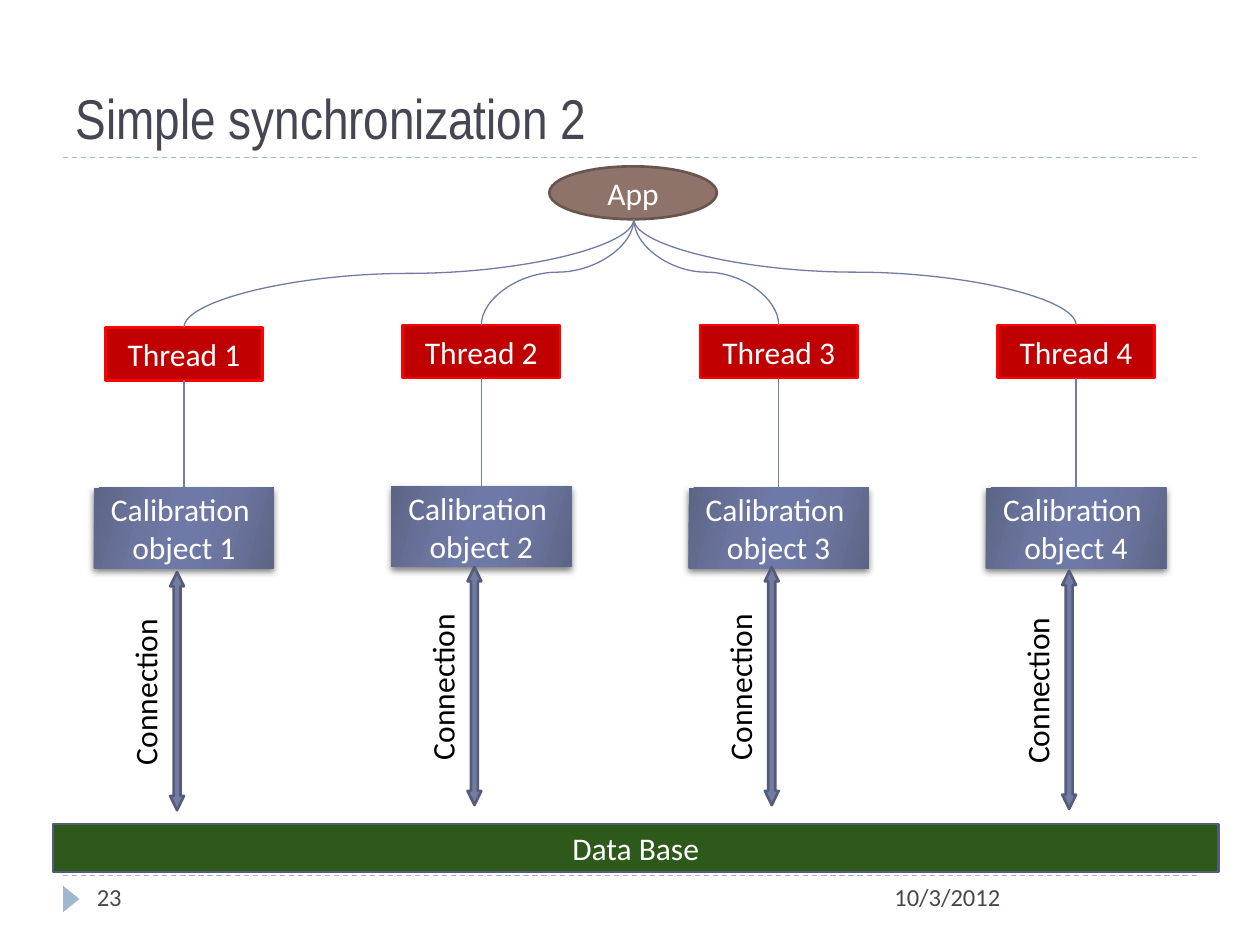
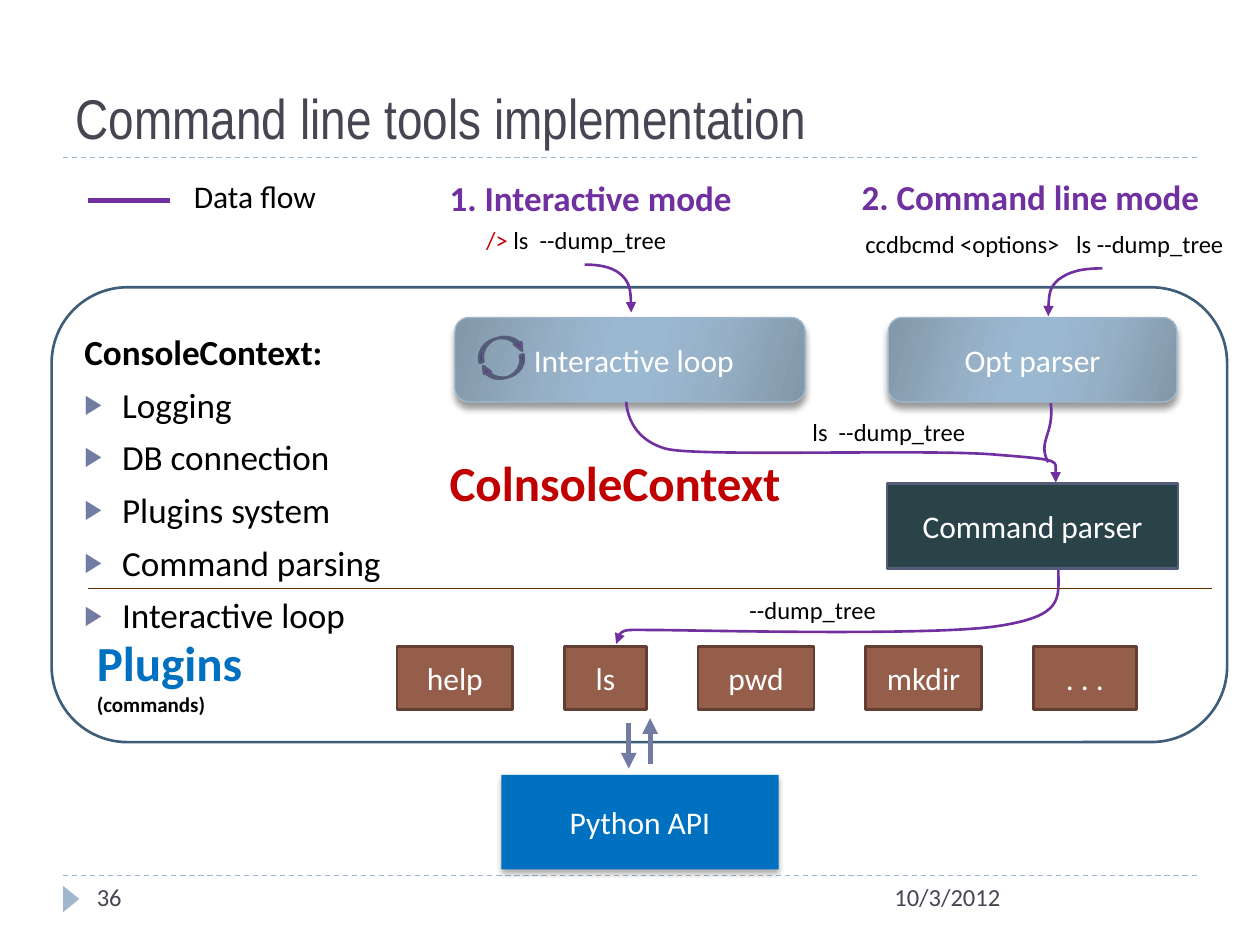
from lxml.etree import SubElement
from pptx import Presentation
from pptx.dml.color import RGBColor
from pptx.enum.dml import MSO_LINE
from pptx.enum.shapes import MSO_CONNECTOR as LINK, MSO_SHAPE as SHAPE
from pptx.enum.text import MSO_ANCHOR as ANCHOR, MSO_AUTO_SIZE as FIT, PP_ALIGN as ALIGN
from pptx.oxml.ns import qn
from pptx.util import Cm, Pt

INK, WHITE, BLACK = "464653", "FFFFFF", "000000"
SKY, SLATE, SLATE_EDGE, PURPLE, RED, BLUE = "9FB8CD", "727CA3", "545C79", "7030A0", "C00000", "0070C0"
STOPS = (0, 30, 45, 55, 73, 100)
SLATE_BLEND = ("5D6585", "6B759E", "6E79A7", "6E79A7", "6B759E", "5D6585")
SKY_BLEND = ("8297A8", "96B0C6", "9BB8D1", "9BB8D1", "96B0C6", "8297A8")
DATE = "10/3/2012"

FIRST_CENTER, PITCH = 1.46, 2.36
APP_X, APP_BOTTOM = 5.03, 1.74
THREAD_WIDTH, THREAD_HEIGHT, OBJECT_WIDTH = 1.25, 0.42, 1.43
THREADS = [
    ("Thread 1", "Calibration \nobject 1", 2.6, 3.87, 5.43),
    ("Thread 2", "Calibration \nobject 2", 2.58, 3.86, 5.39),
    ("Thread 3", "Calibration \nobject 3", 2.58, 3.87, 5.39),
    ("Thread 4", "Calibration \nobject 4", 2.58, 3.87, 5.42),
]

FEATURES = ["ConsoleContext:", "Logging", "DB connection", "Plugins system",
            "Command parsing", "Interactive loop"]
COMMANDS = [("help", 0.92), ("ls", 0.65), ("pwd", 0.92), ("mkdir", 0.92), (". . .", 0.82)]
COMMAND_LEFT, COMMAND_GAP = 3.15, 0.41
MODES = [("1. Interactive mode", (3.47, 1.35, 2.5, 0.42)),
         ("2. Command line mode", (6.74, 1.34, 3, 0.5))]
FLOW_LABELS = [("ls  --dump_tree", (6.35, 3.26, 1.84, 0.34)),
               ("--dump_tree", (5.85, 4.67, 1.84, 0.34))]
PARSERS = [("Interactive loop", (3.61, 2.52, 2.78, 0.67), 0.16),
           ("Opt parser", (7.05, 2.52, 2.29, 0.67), 0.1)]
LOOP_ARROWS = [((3.78, 2.68, 0.38, 0.15), 344), ((3.82, 2.86, 0.36, 0.14), 164)]
API_ARROWS = [(4.99, 5.74, 4.99, 6.1), (5.16, 6.06, 5.16, 5.7)]
FLOWS = [
    ([(8.4, 4.52), (8.4, 4.75), (8.45, 4.89), (7.91, 4.97), (7.38, 5.05), (5.44, 5),
      (5.21, 5), (4.98, 5), (4.91, 4.98), (4.89, 5.11)], True),
    ([(4.97, 3.19), (4.98, 3.31), (5.04, 3.49), (5.28, 3.56), (5.51, 3.63), (7.41, 3.56),
      (7.92, 3.61), (8.44, 3.65), (8.37, 3.66), (8.38, 3.83)], True),
    ([(8.75, 2.13), (8.57, 2.13), (8.48, 2.16), (8.4, 2.22), (8.33, 2.28), (8.32, 2.37),
      (8.32, 2.51)], True),
    ([(8.34, 3.2), (8.37, 3.45), (8.23, 3.5), (8.32, 3.67)], False),
    ([(4.64, 2.1), (4.79, 2.1), (4.88, 2.13), (4.94, 2.19), (5, 2.25), (5.01, 2.34),
      (5.01, 2.48)], True),
]


def rgb(color):
    return RGBColor.from_string(color)


def inches(*values):
    return [Cm(v * 2.54) for v in values]


def place(s, box):
    s.left, s.top, s.width, s.height = inches(*box)


def paint(r, size, color, bold=False, font="Calibri"):
    r.font.size, r.font.bold, r.font.name = Pt(size), bold, font
    r.font.color.rgb = rgb(color)


def write(tf, text, size, color, bold=False, align=ALIGN.LEFT, before=0, font="Calibri"):
    tf.text = text
    for p in tf.paragraphs:
        p.alignment, p.space_before = align, Pt(before)
        for r in p.runs:
            paint(r, size, color, bold, font)


def outline(line, color, width):
    line.color.rgb = rgb(color)
    line.width = Pt(width)


def add_arrowhead(s):
    SubElement(s._element.spPr.find(qn("a:ln")), qn("a:tailEnd"), type="triangle")


def add_shadow(s, alpha, blur, dist):
    effects = s._element.spPr.find(qn("a:effectLst"))
    shadow = SubElement(effects, qn("a:outerShdw"), blurRad=str(Pt(blur)), dist=str(Pt(dist)),
                        dir="5400000", rotWithShape="0")
    color = SubElement(shadow, qn("a:srgbClr"), val=BLACK)
    SubElement(color, qn("a:alpha"), val=str(alpha * 1000))


def blend(s, colors):
    s.fill.gradient()
    s.fill.gradient_angle = 344
    stops = next(s._element.spPr.iter(qn("a:gsLst")))
    for stop in list(stops):
        stops.remove(stop)
    for pos, color in zip(STOPS, colors):
        stop = SubElement(stops, qn("a:gs"), pos=str(pos * 1000))
        SubElement(stop, qn("a:srgbClr"), val=color)


def add_shape(slide, kind, box, fill=None, edge=None, text="", width=1.5, rot=0, adj=(), shadow=None):
    s = slide.shapes.add_shape(kind, *inches(*box))
    s.shadow.inherit = False
    s.rotation = rot
    for i, value in enumerate(adj):
        s.adjustments[i] = value
    if fill is None:
        s.fill.background()
    elif isinstance(fill, tuple):
        blend(s, fill)
    else:
        s.fill.solid()
        s.fill.fore_color.rgb = rgb(fill)
    if edge:
        outline(s.line, edge, width)
    else:
        s.line.fill.background()
    if shadow:
        add_shadow(s, *shadow)
    if text:
        s.text_frame.vertical_anchor = ANCHOR.MIDDLE
        write(s.text_frame, text, 18, WHITE, align=ALIGN.CENTER)
    return s


def add_text(slide, box, text, size, color, bold=False, before=0, wrap=True, rot=0):
    s = slide.shapes.add_textbox(*inches(*box))
    s.rotation = rot
    tf = s.text_frame
    tf.word_wrap = wrap
    tf.auto_size = FIT.NONE if wrap else FIT.SHAPE_TO_FIT_TEXT
    write(tf, text, size, color, bold, before=before)
    return tf


def add_line(slide, ends, color, width, kind=LINK.STRAIGHT, arrow=False, dash=False):
    s = slide.shapes.add_connector(kind, *inches(*ends))
    outline(s.line, color, width)
    if dash:
        s.line.dash_style = MSO_LINE.DASH
    if arrow:
        add_arrowhead(s)
    SubElement(s._element.spPr, qn("a:effectLst"))
    return s


def add_branch(slide, x, top):
    mid_x, mid_y = (APP_X + x) / 2, (APP_BOTTOM + top) / 2
    half_w, half_h = (top - APP_BOTTOM) / 2, abs(APP_X - x) / 2
    turn, side = (90, -1) if x < APP_X else (270, 1)
    ends = (mid_x + side * half_w, mid_y - half_h, mid_x - side * half_w, mid_y + half_h)
    s = add_line(slide, ends, SLATE, 0.75, LINK.CURVE)
    s._element.spPr.find(qn("a:xfrm")).set("rot", str(turn * 60000))


def add_flow(slide, knots, arrow):
    builder = slide.shapes.build_freeform(*inches(*knots[0]))
    builder.add_line_segments([inches(*knot) for knot in knots[1:]], close=False)
    s = builder.convert_to_shape()
    outline_el = next(s._element.spPr.iter(qn("a:path")))
    segments = outline_el.findall(qn("a:lnTo"))
    for i in range(0, len(segments), 3):
        curve = SubElement(outline_el, qn("a:cubicBezTo"))
        for segment in segments[i:i + 3]:
            curve.append(segment[0])
            outline_el.remove(segment)
    s.shadow.inherit = False
    s.fill.background()
    outline(s.line, PURPLE, 1.5)
    if arrow:
        add_arrowhead(s)


def add_slide(prs, layout, title, number):
    slide = prs.slides.add_slide(prs.slide_layouts[layout])
    for y in (6.95, 1.25):
        add_line(slide, (0.5, y, 9.5, y), SKY, 0.75, dash=True)
    add_shape(slide, SHAPE.ISOSCELES_TRIANGLE, (0.46, 7.07, 0.21, 0.13), SKY, rot=90)
    s = slide.shapes.title
    place(s, (0.5, 0.17, 9, 1.08))
    s.text_frame.vertical_anchor, s.text_frame.auto_size = ANCHOR.BOTTOM, FIT.NONE
    write(s.text_frame, title, 32, INK, font="Arial Narrow")
    add_text(slide, (7, 6.95, 2.5, 0.4), DATE, 14, INK)
    add_text(slide, (0.67, 6.95, 2.17, 0.4), number, 14, INK)
    return slide


def add_features(slide):
    s = slide.placeholders[1]
    place(s, (0.57, 2.57, 2.58, 2.26))
    tf = s.text_frame
    tf.auto_size = FIT.NONE
    write(tf, "\n".join(FEATURES), 20.1, BLACK, before=6)
    for i, p in enumerate(tf.paragraphs):
        pPr = p._p.get_or_add_pPr()
        indent = Cm(0.76) if i else 0
        pPr.set("marL", str(indent))
        pPr.set("indent", str(-indent))
        if i:
            SubElement(SubElement(pPr, qn("a:buClr")), qn("a:srgbClr"), val=SLATE)
            SubElement(pPr, qn("a:buSzPct"), val="76000")
            SubElement(pPr, qn("a:buChar"), char="▶")
        else:
            SubElement(pPr, qn("a:buNone"))
            p.runs[0].font.bold = True


def build_threads(prs):
    slide = add_slide(prs, 5, "Simple synchronization 2", "23")
    add_shape(slide, SHAPE.OVAL, (4.36, 1.32, 1.33, 0.42), "8E736A", "69554E", "App")
    add_shape(slide, SHAPE.RECTANGLE, (0.42, 6.54, 9.25, 0.38), "2D591B", SLATE_EDGE, "Data Base")
    for i, (thread, calibration, top, object_top, arrow_top) in enumerate(THREADS):
        x = FIRST_CENTER + i * PITCH
        add_shape(slide, SHAPE.RECTANGLE, (x - THREAD_WIDTH / 2, top, THREAD_WIDTH, THREAD_HEIGHT),
                  RED, "FF0000", thread)
        add_branch(slide, x, top)
        add_shape(slide, SHAPE.RECTANGLE, (x - OBJECT_WIDTH / 2, object_top, OBJECT_WIDTH, 0.64),
                  SLATE_BLEND, text=calibration, shadow=(50, 4, 2))
        add_shape(slide, SHAPE.LEFT_RIGHT_ARROW, (x - 1, arrow_top, 1.89, 0.11), SLATE, SLATE_EDGE,
                  rot=90, adj=(0.5, 1.03))
        add_text(slide, (x - 1, arrow_top - 0.15, 1.38, 0.4), "Connection", 18, BLACK,
                 wrap=False, rot=270)
        add_line(slide, (x, top + THREAD_HEIGHT, x, object_top), SLATE, 0.75)


def build_tools(prs):
    slide = add_slide(prs, 1, "Command line tools implementation", "36")
    add_shape(slide, SHAPE.ROUNDED_RECTANGLE, (0.41, 2.28, 9.33, 3.61), edge="3E5D78")
    add_features(slide)
    for text, box, inset in PARSERS:
        s = add_shape(slide, SHAPE.ROUNDED_RECTANGLE, box, SKY_BLEND, SKY, text, 0.75,
                      shadow=(40, 4, 3.4))
        s.text_frame.margin_left = Cm(inset * 2.54)
    for box, turn in LOOP_ARROWS:
        add_shape(slide, SHAPE.CURVED_DOWN_ARROW, box, PURPLE, SLATE_EDGE, rot=turn,
                  adj=(0.2, 0.41, 0.44))
    add_shape(slide, SHAPE.RECTANGLE, (7.04, 3.84, 2.31, 0.67), "294349", SLATE_EDGE, "Command parser")
    left = COMMAND_LEFT
    for name, width in COMMANDS:
        add_shape(slide, SHAPE.RECTANGLE, (left, 5.13, width, 0.5), "955E4B", "633F32", name)
        left += width + COMMAND_GAP
    add_shape(slide, SHAPE.RECTANGLE, (3.98, 6.15, 2.2, 0.75), BLUE, text="Python API",
              shadow=(32, 3.5, 2.2))

    for text, box in MODES:
        add_text(slide, box, text, 20, PURPLE, True, before=6)
    for text, box in FLOW_LABELS:
        add_text(slide, box, text, 14, BLACK, before=6)
    prompt = add_text(slide, (3.76, 1.74, 1.84, 0.34), "/> ", 14, RED, before=6)
    r = prompt.paragraphs[0].add_run()
    r.text = "ls  --dump_tree"
    paint(r, 14, BLACK)
    add_text(slide, (6.77, 1.77, 3.07, 0.34), "ccdbcmd <options>   ls --dump_tree", 14, BLACK, wrap=False)
    add_text(slide, (3.47, 3.54, 2.94, 0.57), "ColnsoleContext", 28, RED, True, wrap=False)
    plugins = add_text(slide, (0.67, 4.97, 1.37, 0.77), "Plugins\v(commands)", 28, BLUE, True, wrap=False)
    paint(plugins.paragraphs[0].runs[1], 12, BLACK, True)
    add_text(slide, (1.44, 1.36, 1.18, 0.4), "Data flow", 18, BLACK, wrap=False)

    add_line(slide, (0.7, 1.59, 1.35, 1.59), PURPLE, 3)
    add_line(slide, (0.7, 4.67, 9.62, 4.67), "663300", 0.25)
    for ends in API_ARROWS:
        add_line(slide, ends, SLATE, 3, arrow=True)
    for knots, arrow in FLOWS:
        add_flow(slide, knots, arrow)


def main():
    prs = Presentation()
    prs.slide_width, prs.slide_height = inches(10, 7.5)
    build_threads(prs)
    build_tools(prs)
    prs.save("out.pptx")


if __name__ == "__main__":
    main()
